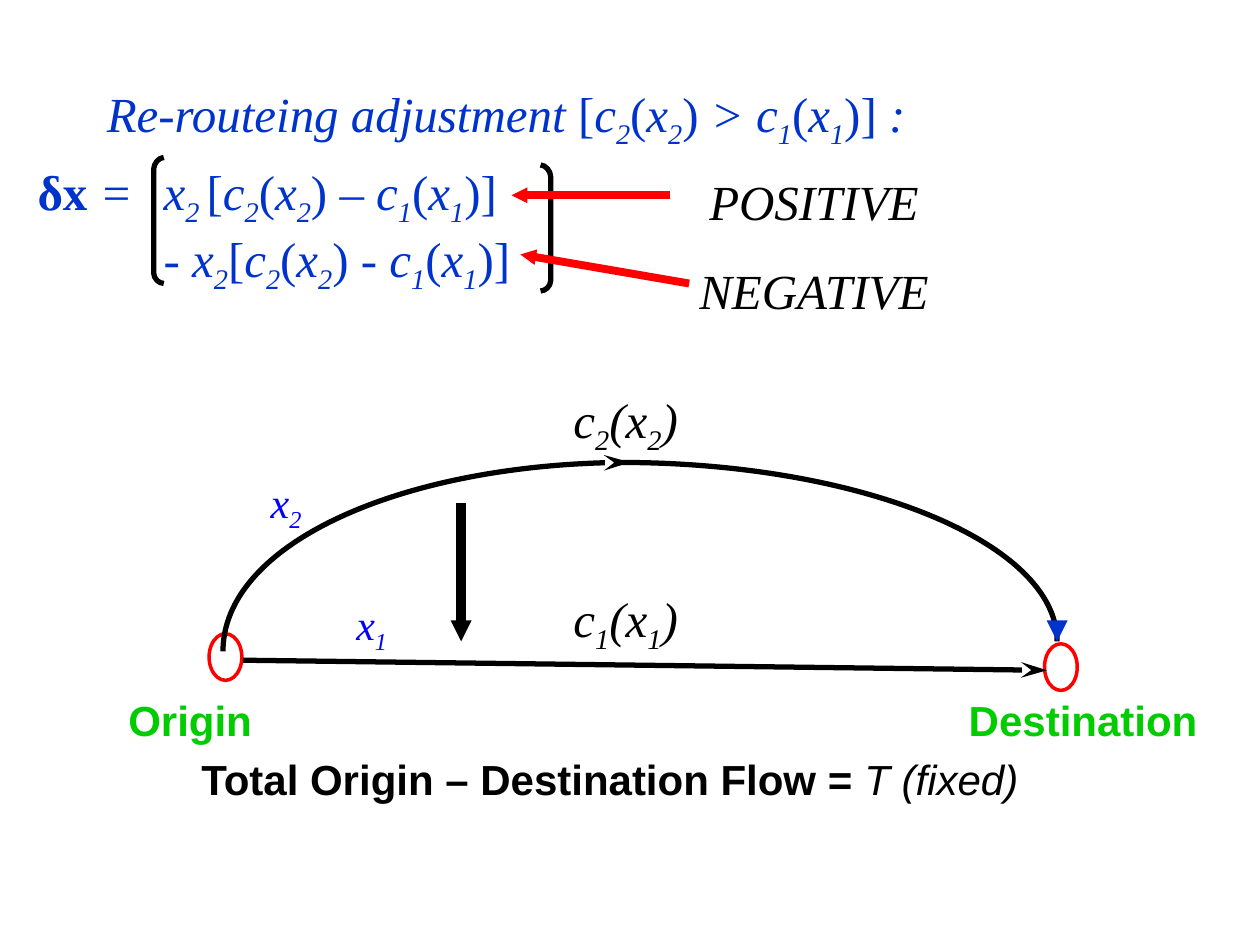
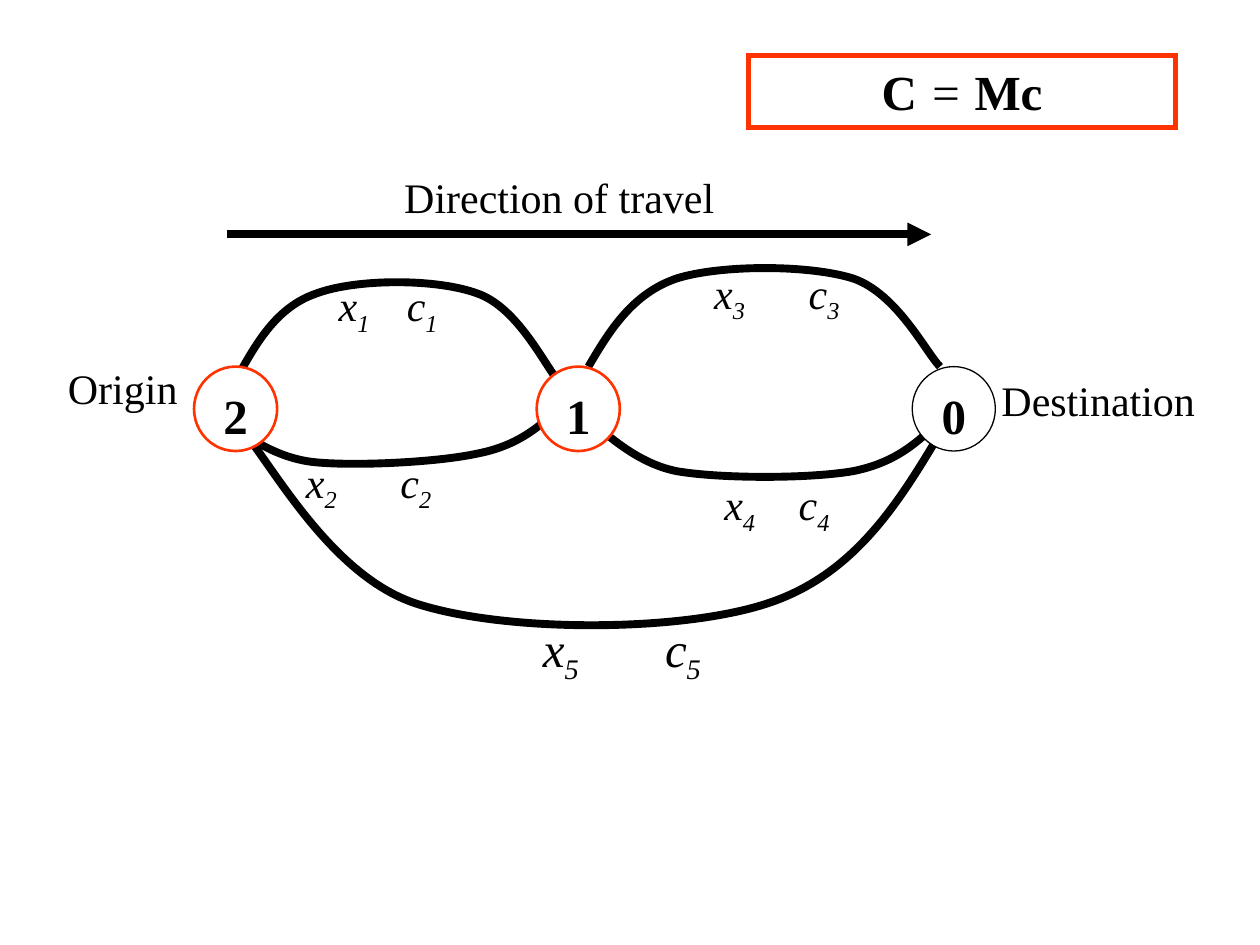
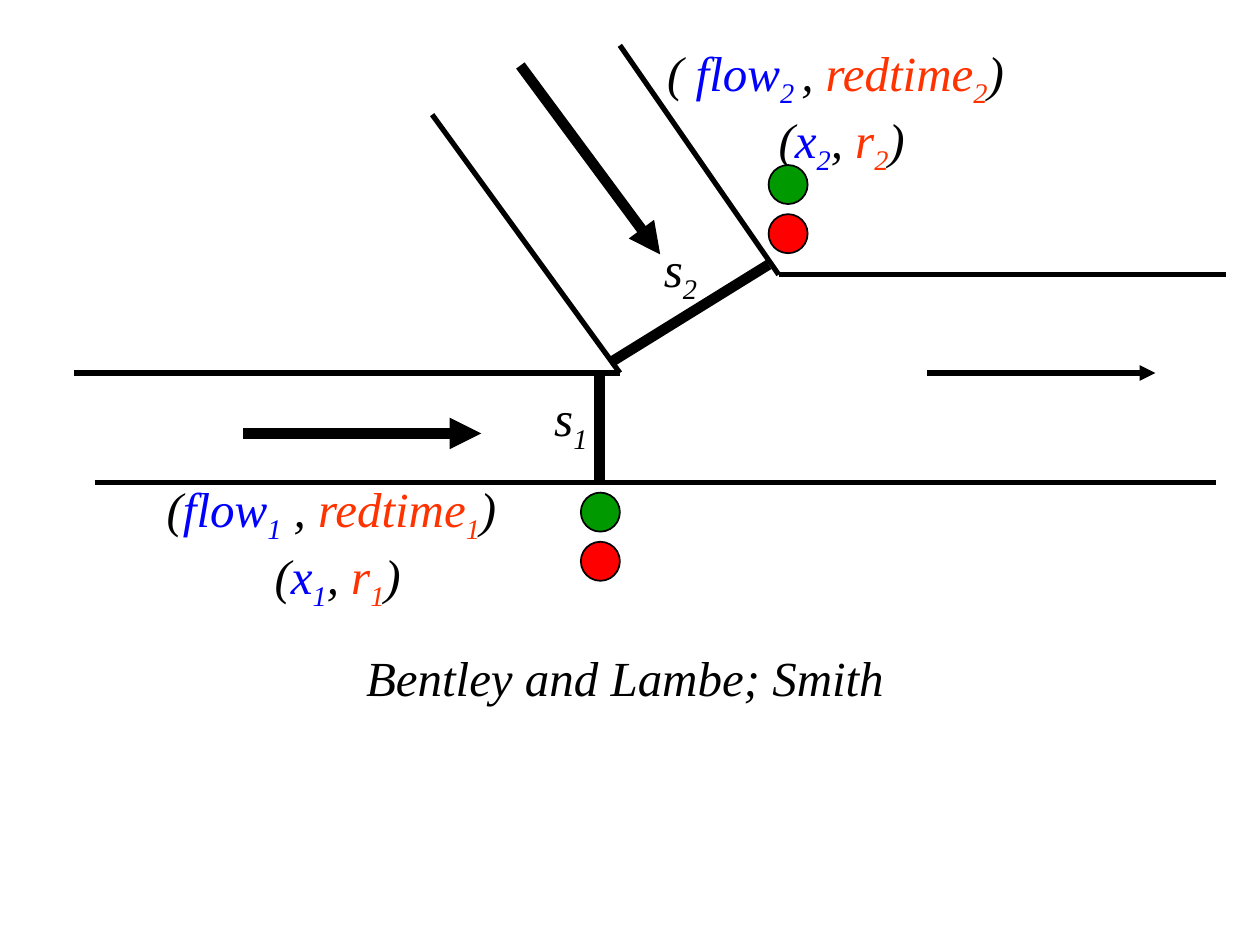
from lxml import etree
from pptx import Presentation
from pptx.dml.color import RGBColor
from pptx.enum import shapes, text
from pptx.oxml.ns import qn
from pptx.util import Inches, Pt

SERIF, SANS = "Times New Roman", "Arial"
BLACK, WHITE, RED, ORANGE = "000000", "FFFFFF", "FF0000", "FF3300"
BLUE, NAVY, LIME, GREEN = "0000FF", "0033CC", "00CC00", "009900"

# Arrowheads
HEAD = {"type": "triangle"}
SMALL_HEAD = {"type": "triangle", "w": "sm", "len": "sm"}
BARB = {"type": "stealth", "w": "med", "len": "lg"}

# Text marks switch a style on and off: * bold, / italic, _ subscript,
# ~ blue, # orange
COST1, COST2 = "/c_1_/(/x_1_/)", "/c_2_/(/x_2_/)"
CENTER = {"align": "CENTER"}
FORMULA = {"color": NAVY}
GREEN_LABEL = {"color": LIME, "size": 24, "font": SANS}


def bracket(tip, spine, top):
    """Curve points of a one-inch bracket, from its upper to its lower tip."""
    middle = (tip + spine) / 2
    upper, lower = (spine, top + 0.09), (spine, top + 0.92)
    return [(tip, top), (middle, top), (spine, top + 0.05), upper,
            upper, lower, lower,
            (spine, top + 0.96), (middle, top + 1), (tip, top + 1)]


def signal(left, top, colors):
    """Lamps of a traffic signal, one under the other."""
    return [(left, top + 0.39 * i, 0.31, 0.31, color, BLACK, 1)
            for i, color in enumerate(colors)]


def flow_label(road, gap):
    """Flow and red time of a road, in words and in symbols."""
    return [f"/({gap[0]}~flow_{road}{gap[1]}, #redtime_{road}_#) /",
            f"/(~x_{road}_~, #r_{road}_#)/"]


# Ovals: left, top, width, height, fill, line colour, line width[, text]
# Curves: points, line width, arrowhead
# Lines: start, end, colour, width, arrowhead
# Labels: left, top, width, height, paragraphs, format
REROUTEING = {
    "ovals": [(1.66, 5.03, 0.26, 0.37, None, RED, 2),
              (8.29, 5.11, 0.26, 0.37, None, RED, 2)],
    "curves": [
        ([(4.92, 3.67), (6.84, 3.67), (8.39, 4.31), (8.39, 5.09)], 3, None),
        (bracket(1.3, 1.22, 1.25), 3, None),
        (bracket(4.29, 4.37, 1.31), 3, None),
        ([(1.77, 5.17), (1.77, 4.34), (3.21, 3.67), (5, 3.67)], 3, BARB),
    ],
    "lines": [
        ((1.93, 5.24), (8.31, 5.32), BLACK, 3, BARB),
        ((8.39, 4.93), (8.39, 5.09), NAVY, 6, SMALL_HEAD),
        ((3.66, 3.99), (3.66, 5.09), BLACK, 6, SMALL_HEAD),
        ((5.32, 1.55), (4.06, 1.55), RED, 4.5, SMALL_HEAD),
        ((5.47, 2.25), (4.13, 2.02), RED, 4.5, SMALL_HEAD),
    ],
    "labels": [
        (0.75, 0.61, 8.58, 0.63,
         [f"/Re-routeing adjustment /[{COST2} /> /{COST1}]/ :/"], FORMULA),
        (0.2, 1.23, 4.59, 1.63,
         [f"*δx*/ = \tx_2 _/[{COST2} /– /{COST1}]",
          f"/\t- x_2_/[{COST2} - {COST1}]"], {**FORMULA, "tab": 1}),
        (5.08, 1.31, 2.76, 1.28, ["/POSITIVE/", "/NEGATIVE/"],
         {**CENTER, "before": 17.5}),
        (3.82, 3.04, 2.29, 0.63, ["/c_2_(x_2_)/"], CENTER),
        (3.82, 4.62, 2.29, 0.63, ["/c_1_(x_1_)/"], CENTER),
        (2.05, 3.73, 2.08, 0.56, ["/x_2_/"], {"color": BLUE, "size": 24}),
        (2.73, 4.7, 0.5, 0.56, ["/x_1_/"], {"color": BLUE, "size": 24}),
        (0.92, 5.46, 1.25, 0.5, ["*Origin*"], GREEN_LABEL),
        (7.59, 5.46, 2.1, 0.5, ["*Destination*"], GREEN_LABEL),
        (0.9, 5.93, 7.88, 0.5,
         ["*Total Origin – Destination Flow = */T (fixed)/"],
         {**CENTER, "size": 24, "font": SANS}),
    ],
}

# Links: left, top of the label, distance from flow to cost, text size
LINKS = [(2.59, 2.17, 0.54, 24), (2.33, 3.57, 0.75, 24),
         (5.57, 2.07, 0.75, 24), (5.65, 3.75, 0.59, 24),
         (4.21, 4.86, 0.97, 28)]
NODES = [(1.54, "2", ORANGE, 1.5), (4.26, "1", ORANGE, 1.5),
         (7.24, "0", BLACK, 0.75)]
NETWORK = {
    "curves": [(points, 4.5, None) for points in (
        [(1.87, 3.02), (2.03, 2.73), (2.19, 2.44), (2.51, 2.33),
         (2.83, 2.21), (3.47, 2.21), (3.79, 2.33),
         (4.11, 2.44), (4.33, 2.91), (4.43, 3.02)],
        [(4.41, 3.27), (4.26, 3.4), (4.1, 3.54), (3.79, 3.6),
         (3.47, 3.67), (2.83, 3.7), (2.51, 3.67),
         (2.18, 3.64), (1.96, 3.45), (1.85, 3.4)],
        [(4.67, 2.91), (4.84, 2.62), (5.02, 2.33), (5.37, 2.21),
         (5.72, 2.1), (6.42, 2.1), (6.77, 2.21),
         (7.12, 2.33), (7.35, 2.8), (7.46, 2.91)],
        [(7.46, 3.34), (7.29, 3.5), (7.12, 3.67), (6.77, 3.74),
         (6.42, 3.8), (5.72, 3.8), (5.37, 3.74),
         (5.02, 3.67), (4.78, 3.4), (4.67, 3.34)],
        [(7.49, 3.39), (7.14, 3.98), (6.79, 4.56), (6.09, 4.79),
         (5.39, 5.02), (4, 5.02), (3.3, 4.79),
         (2.6, 4.56), (2.13, 3.63), (1.9, 3.39)])],
    "lines": [((1.8, 1.86), (7.39, 1.86), BLACK, 4.5, HEAD)],
    "ovals": [(left, 2.91, 0.66, 0.67, WHITE, color, width, f"*{name}*")
              for left, name, color, width in NODES],
    "boxes": [(5.94, 0.44, 3.39, 0.57, WHITE, ORANGE, 3, "*C*/ = /*Mc*")],
    "labels": [
        *[(left, top, 1.86, 0.62, [f"/x_{i}_\tc_{i}_/"],
           {"tab": gap, "size": size})
          for i, (left, top, gap, size) in enumerate(LINKS, 1)],
        (7.85, 2.92, 2.1, 0.57, ["Destination"], {"size": 24}),
        (0.44, 2.83, 1.42, 0.93, ["Origin"], {"size": 24}),
        (3.11, 1.31, 3.23, 1.11, ["Direction of travel"], {"size": 24}),
    ],
}

JUNCTION = {
    "lines": [
        # Kerbs
        *[(start, end, BLACK, 3, None) for start, end in (
            ((4.92, 0.36), (6.18, 2.18)), ((3.43, 0.91), (4.92, 2.96)),
            ((0.59, 2.96), (4.92, 2.96)), ((0.75, 3.83), (9.65, 3.83)),
            ((6.18, 2.18), (9.73, 2.18)))],
        # Directions of travel
        ((1.93, 3.44), (3.82, 3.44), BLACK, 6, HEAD),
        ((4.13, 0.52), (5.24, 2.02), BLACK, 6, HEAD),
        ((7.36, 2.96), (9.17, 2.96), BLACK, 3, HEAD),
        # Stop lines
        ((4.76, 2.96), (4.76, 3.83), BLACK, 6, None),
        ((6.1, 2.1), (4.84, 2.88), BLACK, 6, None),
    ],
    "labels": [
        (4.29, 3.03, 0.48, 0.63, ["/s_1_/"], CENTER),
        (5.16, 1.84, 0.48, 0.63, ["/s_2_/"], CENTER),
        (5.18, 0.29, 3, 1.16, flow_label(2, (" ", " _~")), CENTER),
        (1.18, 3.75, 3, 1.16, flow_label(1, ("", "_~ ")), CENTER),
        (1.85, 5.09, 6.22, 0.57, ["/Bentley and Lambe; Smith/"], CENTER),
    ],
    "ovals": signal(6.1, 1.31, (GREEN, RED)) + signal(4.61, 3.91, (GREEN, RED)),
}


def rgb(color):
    return RGBColor.from_string(color)


def split_marks(marked):
    """Yield each stretch of text with the set of marks that are on."""
    active, stretch = set(), ""
    for sign in marked:
        if sign in "*/_~#":
            if stretch:
                yield stretch, set(active)
            active ^= {sign}
            stretch = ""
        else:
            stretch += sign
    if stretch:
        yield stretch, active


def write(frame, paragraphs, color=BLACK, size=28, font=SERIF, align="LEFT",
          before=0, tab=None):
    frame.word_wrap = True
    frame.vertical_anchor = text.MSO_ANCHOR.TOP
    for i, marked in enumerate(paragraphs):
        para = frame.add_paragraph() if i else frame.paragraphs[0]
        para.alignment = text.PP_ALIGN[align]
        if i and before:
            para.space_before = Pt(before)
        if tab:
            stops = etree.SubElement(para._p.get_or_add_pPr(), qn("a:tabLst"))
            etree.SubElement(stops, qn("a:tab"), pos=str(Inches(tab)), algn="l")
        for stretch, marks in split_marks(marked):
            span = para.add_run()
            span.text = stretch
            style = {"name": font, "size": Pt(size),
                     "bold": "*" in marks, "italic": "/" in marks}
            for key, value in style.items():
                setattr(span.font, key, value)
            shade = BLUE if "~" in marks else ORANGE if "#" in marks else color
            span.font.color.rgb = rgb(shade)
            if "_" in marks:
                span._r.get_or_add_rPr().set("baseline", "-25000")


def stroke(line, color, width, arrow=None):
    line.color.rgb = rgb(color)
    line.width = Pt(width)
    if arrow:
        etree.SubElement(line._get_or_add_ln(), qn("a:tailEnd"), arrow)


def add_label(page, left, top, width, height, paragraphs, style):
    box = page.shapes.add_textbox(*map(Inches, (left, top, width, height)))
    write(box.text_frame, paragraphs, **style)


def add_preset(page, kind, left, top, width, height, fill, color, weight,
               caption=None):
    shape = page.shapes.add_shape(
        kind, *map(Inches, (left, top, width, height)))
    shape.shadow.inherit = False
    if fill:
        shape.fill.solid()
        shape.fill.fore_color.rgb = rgb(fill)
    else:
        shape.fill.background()
    stroke(shape.line, color, weight)
    etree.SubElement(shape.line._get_or_add_ln(), qn("a:miter"), lim="800000")
    if caption:
        write(shape.text_frame, [caption], **CENTER)


def add_oval(page, *values):
    add_preset(page, shapes.MSO_SHAPE.OVAL, *values)


def add_box(page, *values):
    add_preset(page, shapes.MSO_SHAPE.RECTANGLE, *values)


def add_line(page, start, end, color, width, arrow):
    line = page.shapes.add_connector(
        shapes.MSO_CONNECTOR.STRAIGHT, *map(Inches, start + end))
    etree.SubElement(line._element.spPr, qn("a:effectLst"))
    stroke(line.line, color, width, arrow)


def add_curve(page, points, width, arrow):
    corners = [tuple(map(Inches, point)) for point in points]
    builder = page.shapes.build_freeform(*corners[0])
    builder.add_line_segments(corners[1:], close=False)
    shape = builder.convert_to_shape()
    shape.shadow.inherit = False
    shape.fill.background()
    stroke(shape.line, BLACK, width, arrow)
    # Join every three segments into one cubic curve or straight side
    segments = list(shape._element.iter(qn("a:lnTo")))
    for i in range(0, len(segments), 3):
        first, second, last = segments[i:i + 3]
        outline = first.getparent()
        if points[i] != points[i + 1]:
            curve = etree.Element(qn("a:cubicBezTo"))
            first.addprevious(curve)
            for segment in (first, second, last):
                curve.append(segment[0])
            outline.remove(last)
        elif points[i + 2] != points[i + 3]:
            raise ValueError("a straight side repeats both of its ends")
        outline.remove(first)
        outline.remove(second)


DRAW = {"ovals": add_oval, "boxes": add_box, "curves": add_curve,
        "lines": add_line, "labels": add_label}


def main():
    deck = Presentation()
    deck.slide_width, deck.slide_height = Inches(10), Inches(7.5)
    for content in (REROUTEING, NETWORK, JUNCTION):
        page = deck.slides.add_slide(deck.slide_layouts[6])
        for kind, items in content.items():
            for item in items:
                DRAW[kind](page, *item)
    deck.save("out.pptx")


if __name__ == "__main__":
    main()
